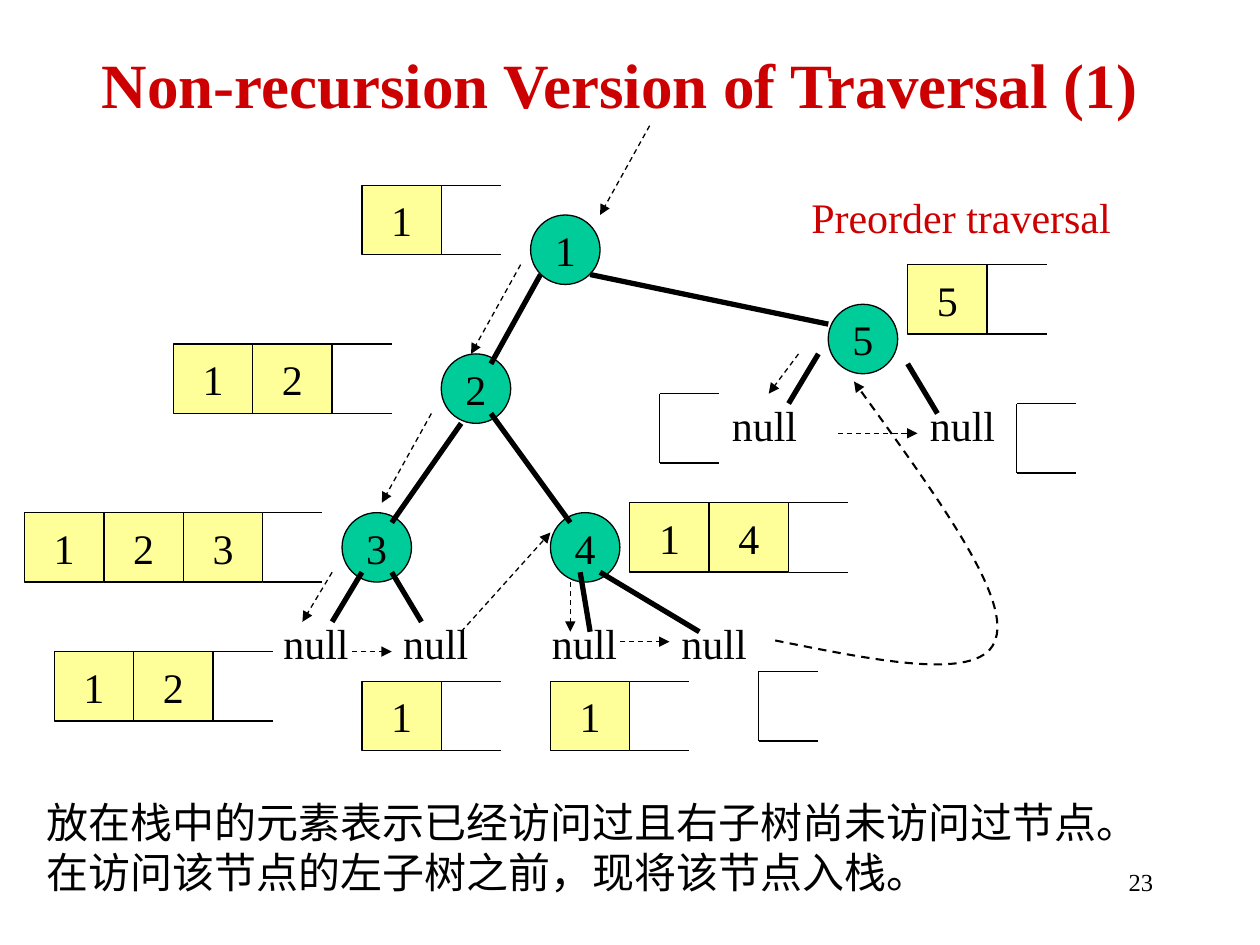
from dataclasses import dataclass
from typing import NamedTuple

import lxml.etree
import pptx
import pptx.dml.color
import pptx.enum.dml
import pptx.enum.shapes
import pptx.enum.text
import pptx.oxml.ns
import pptx.util

Pt = pptx.util.Pt
RGB = pptx.dml.color.RGBColor
Align = pptx.enum.text.PP_ALIGN
Anchor = pptx.enum.text.MSO_ANCHOR
Shape = pptx.enum.shapes.MSO_SHAPE
qn = pptx.oxml.ns.qn


@dataclass(frozen=True)
class Theme:
    font: str = "Times New Roman"
    accent: RGB = RGB(0xCC, 0x00, 0x00)
    ink: RGB = RGB(0x00, 0x00, 0x00)
    node: RGB = RGB(0x00, 0xCC, 0x99)
    cell: RGB = RGB(0xFF, 0xFF, 0x99)
    title_size: float = 36
    body_size: float = 24
    number_size: float = 14
    thin: float = 0.75
    curve: float = 1.2
    thick: float = 3


class Item(NamedTuple):
    """A tree node or a stack, placed by its top left grid point."""
    column: int
    row: int
    label: str


class Segment(NamedTuple):
    """A straight line between two grid points."""
    column1: int
    row1: int
    column2: int
    row2: int


class Label(NamedTuple):
    """A text box, in points."""
    left: float
    top: float
    width: float
    height: float
    lines: tuple
    color: RGB
    size: float = 24
    align: Align = Align.LEFT
    wrap: bool = False


THEME = Theme()

# The diagram sits on a 2 mm grid
STEP, LEFT, TOP = 5.67, 2.7, 3.8
SIDE, CELL, OPENING = 7, 8, 6  # node and stack height, cell width, open end

NODES = [Item(53, 21, "1"), Item(44, 35, "2"), Item(34, 51, "3"),
         Item(55, 51, "4"), Item(83, 30, "5")]
STACKS = [Item(2, 51, "123"), Item(17, 34, "12"), Item(36, 18, "1"),
          Item(63, 50, "14"), Item(91, 26, "5"), Item(5, 65, "12"),
          Item(36, 68, "1"), Item(55, 68, "1"),
          Item(76, 67, ""), Item(66, 39, ""), Item(102, 40, "")]
EDGES = [Segment(54, 27, 49, 36), Segment(46, 42, 39, 52),
         Segment(49, 41, 57, 52), Segment(59, 27, 83, 32),
         Segment(36, 57, 33, 62), Segment(39, 57, 42, 62),
         Segment(58, 57, 59, 63), Segment(60, 57, 70, 63),
         Segment(82, 35, 79, 40), Segment(91, 36, 94, 41)]
VISITS = [Segment(65, 12, 60, 21), Segment(52, 26, 47, 35),
          Segment(43, 41, 38, 50), Segment(33, 57, 30, 62),
          Segment(35, 65, 39, 65), Segment(46, 63, 55, 53),
          Segment(57, 58, 57, 63), Segment(62, 64, 67, 64),
          Segment(80, 35, 77, 39), Segment(84, 43, 92, 43)]
NULLS = [(154.8, 349.2), (223.2, 349.2), (308.2, 349.2), (382.3, 349.2),
         (411.1, 224.6), (524.2, 224.6)]
LABELS = [
    Label(456.5, 105.8, 185.8, 36, ("Preorder traversal",), THEME.accent),
    Label(19.4, 451.4, 638.6, 64.8,
          ("放在栈中的元素表示已经访问过且右子树尚未访问过节点。",
           "在访问该节点的左子树之前，现将该节点入栈。"), THEME.ink),
    Label(516.2, 491.8, 149.8, 36, ("23",), THEME.ink,
          THEME.number_size, Align.RIGHT, True),
] + [Label(left, top, 51.8, 36, ("null",), THEME.ink) for left, top in NULLS]

# Start point, then two cubic arcs of three points each
RETURN_CURVE = [(442.8, 366.5), (502.6, 378), (561.6, 389.5), (568.8, 365),
                (576.7, 339.8), (532.1, 279.4), (488.2, 218.2)]


def grid_x(column: int) -> pptx.util.Length:
    return Pt(LEFT + STEP * column)


def grid_y(row: int) -> pptx.util.Length:
    return Pt(TOP + STEP * row)


def write(paragraph, text: str, color: RGB, size: float, align: Align,
          bold: bool = False) -> None:
    paragraph.alignment = align
    run = paragraph.add_run()
    run.text = text
    run.font.name = THEME.font
    run.font.size = Pt(size)
    run.font.bold = bold
    run.font.color.rgb = color


def style_line(shape, width: float, dashed: bool = False) -> None:
    """Black line; a dashed one ends in an arrowhead."""
    shape.line.color.rgb = THEME.ink
    shape.line.width = Pt(width)
    if dashed:
        shape.line.dash_style = pptx.enum.dml.MSO_LINE.DASH
        outline = shape._element.spPr.find(qn("a:ln"))
        lxml.etree.SubElement(outline, qn("a:tailEnd"), type="triangle")


def add_box(shapes, kind: Shape, item: Item, columns: int, fill: RGB) -> None:
    shape = shapes.add_shape(kind, grid_x(item.column), grid_y(item.row),
                             Pt(STEP * columns), Pt(STEP * SIDE))
    shape.shadow.inherit = False
    shape.fill.solid()
    shape.fill.fore_color.rgb = fill
    style_line(shape, THEME.thin)
    frame = shape.text_frame
    frame.word_wrap = False
    frame.vertical_anchor = Anchor.MIDDLE
    write(frame.paragraphs[0], item.label, THEME.ink, THEME.body_size,
          Align.CENTER)


def add_segment(shapes, segment: Segment, width: float,
                dashed: bool = False) -> None:
    connector = shapes.add_connector(
        pptx.enum.shapes.MSO_CONNECTOR.STRAIGHT,
        grid_x(segment.column1), grid_y(segment.row1),
        grid_x(segment.column2), grid_y(segment.row2))
    style_line(connector, width, dashed)
    lxml.etree.SubElement(connector._element.spPr, qn("a:effectLst"))


def add_stack(shapes, stack: Item) -> None:
    """Filled cells followed by an open end; an empty stack gets a wall."""
    group = shapes.add_group_shape().shapes
    for index, value in enumerate(stack.label):
        cell = Item(stack.column + CELL * index, stack.row, value)
        add_box(group, Shape.RECTANGLE, cell, CELL, THEME.cell)
    end = stack.column + CELL * len(stack.label)
    bottom = stack.row + SIDE
    for row in (stack.row, bottom):
        add_segment(group, Segment(end, row, end + OPENING, row), THEME.thin)
    if not stack.label:
        add_segment(group, Segment(end, bottom, end, stack.row), THEME.thin)


def add_label(shapes, label: Label) -> None:
    box = shapes.add_textbox(Pt(label.left), Pt(label.top),
                             Pt(label.width), Pt(label.height))
    frame = box.text_frame
    frame.word_wrap = label.wrap
    for index, line in enumerate(label.lines):
        paragraph = frame.add_paragraph() if index else frame.paragraphs[0]
        write(paragraph, line, label.color, label.size, label.align)


def add_curve(shapes, points: list) -> None:
    """Draw the points as straight legs, then join each three as one arc."""
    builder = shapes.build_freeform(*points[0], scale=float(Pt(1)))
    builder.add_line_segments(points[1:], close=False)
    shape = builder.convert_to_shape()
    shape.shadow.inherit = False
    shape.fill.background()
    style_line(shape, THEME.curve, dashed=True)
    outline = next(shape._element.iter(qn("a:path")))
    legs = outline.findall(qn("a:lnTo"))
    for start in range(0, len(legs), 3):
        arc = lxml.etree.SubElement(outline, qn("a:cubicBezTo"))
        for leg in legs[start:start + 3]:
            arc.append(leg[0])
            outline.remove(leg)


def add_title(slide, text: str) -> None:
    title = slide.shapes.title
    title.left, title.top = Pt(48.2), Pt(0)
    title.width, title.height = Pt(612), Pt(90)
    frame = title.text_frame
    frame.vertical_anchor = Anchor.MIDDLE
    frame.margin_top = Pt(8.6)
    write(frame.paragraphs[0], text, THEME.accent, THEME.title_size,
          Align.CENTER, bold=True)


def main() -> None:
    presentation = pptx.Presentation()
    presentation.slide_width, presentation.slide_height = Pt(720), Pt(540)
    slide = presentation.slides.add_slide(presentation.slide_layouts[5])
    shapes = slide.shapes
    add_title(slide, "Non-recursion Version of Traversal (1)")

    # Tree
    for node in NODES:
        add_box(shapes, Shape.OVAL, node, SIDE, THEME.node)
    for edge in EDGES:
        add_segment(shapes, edge, THEME.thick)

    # Visiting order and stack states
    for visit in VISITS:
        add_segment(shapes, visit, THEME.thin, dashed=True)
    add_curve(shapes, RETURN_CURVE)
    for stack in STACKS:
        add_stack(shapes, stack)

    # Texts
    for label in LABELS:
        add_label(shapes, label)
    presentation.save("out.pptx")


if __name__ == "__main__":
    main()
